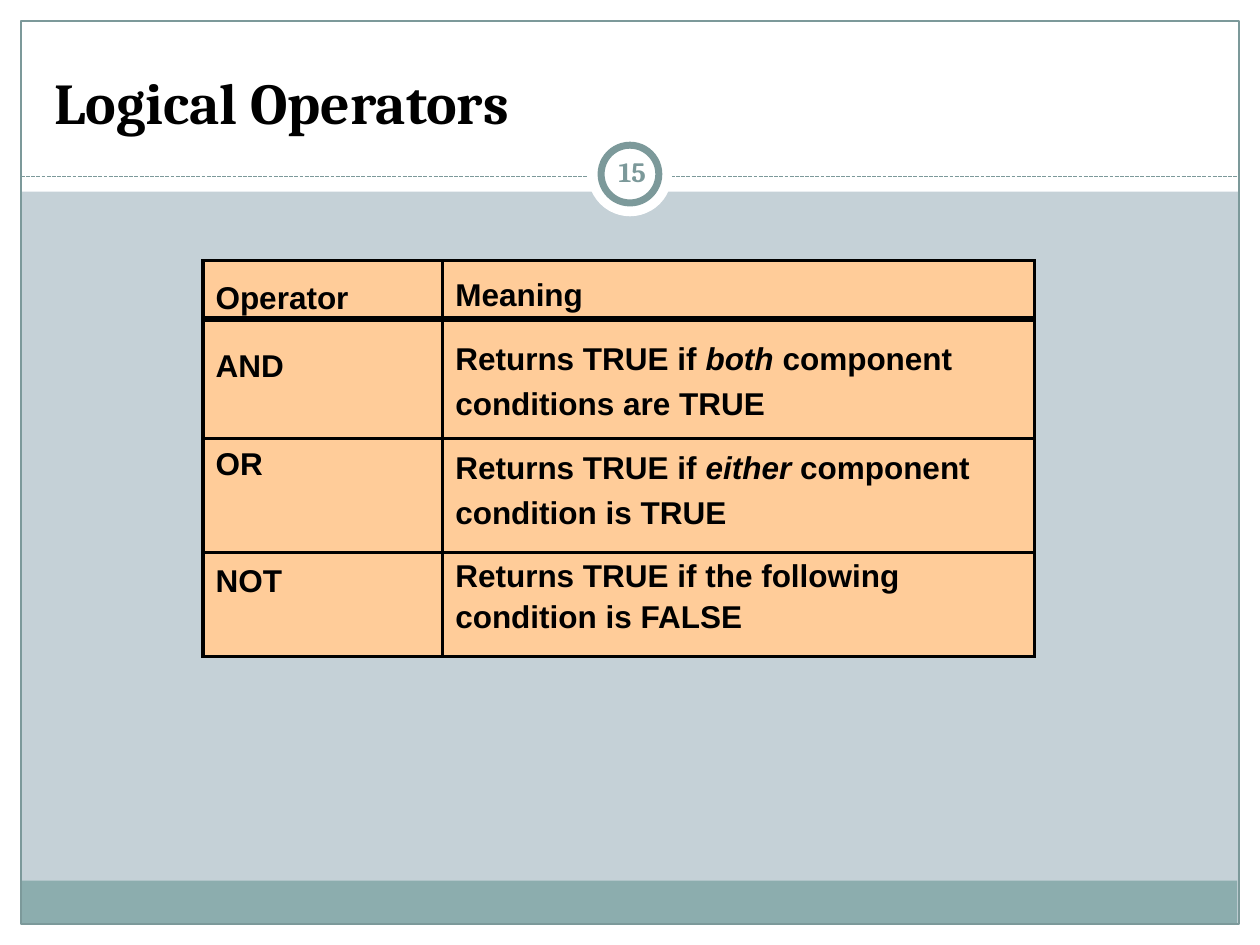
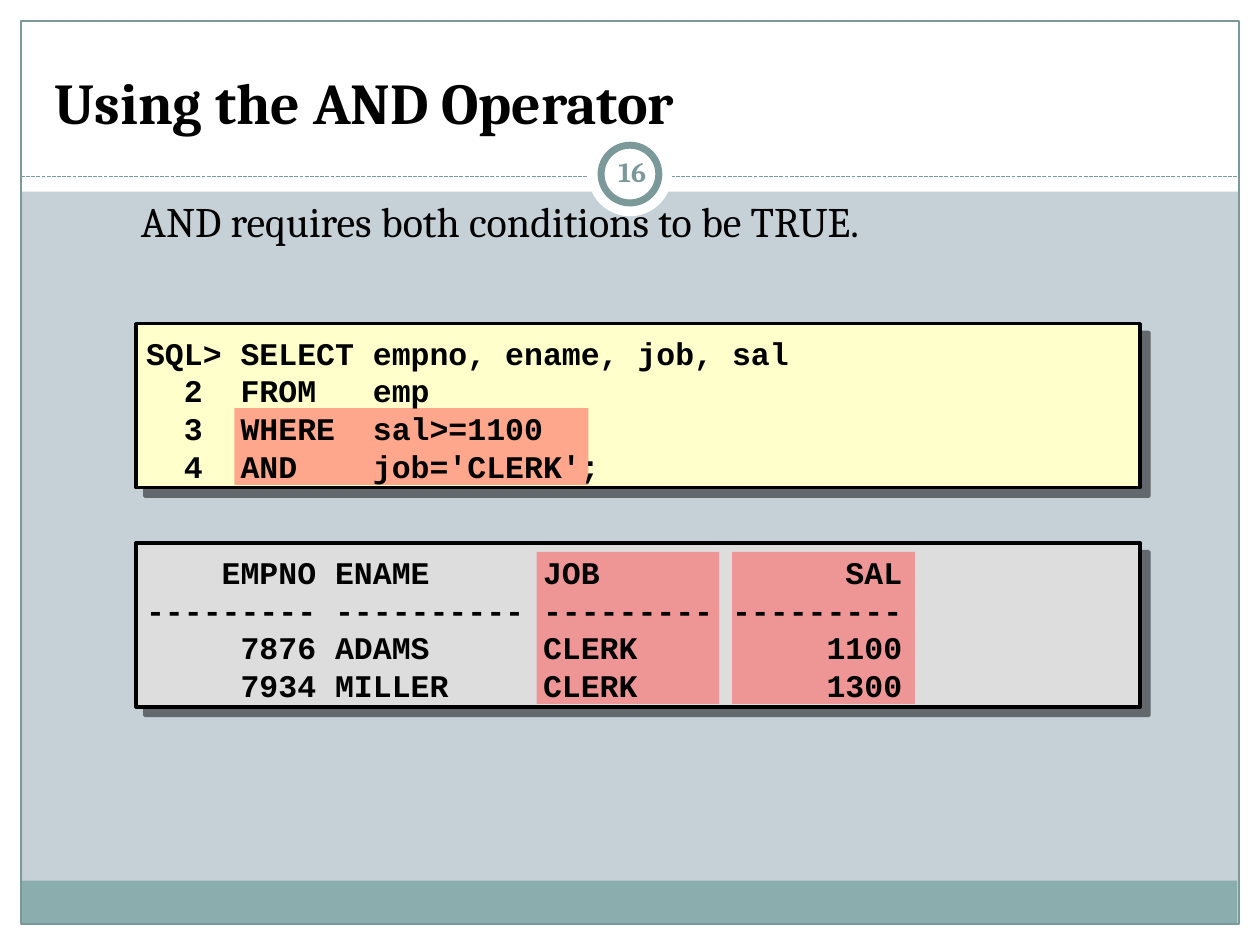
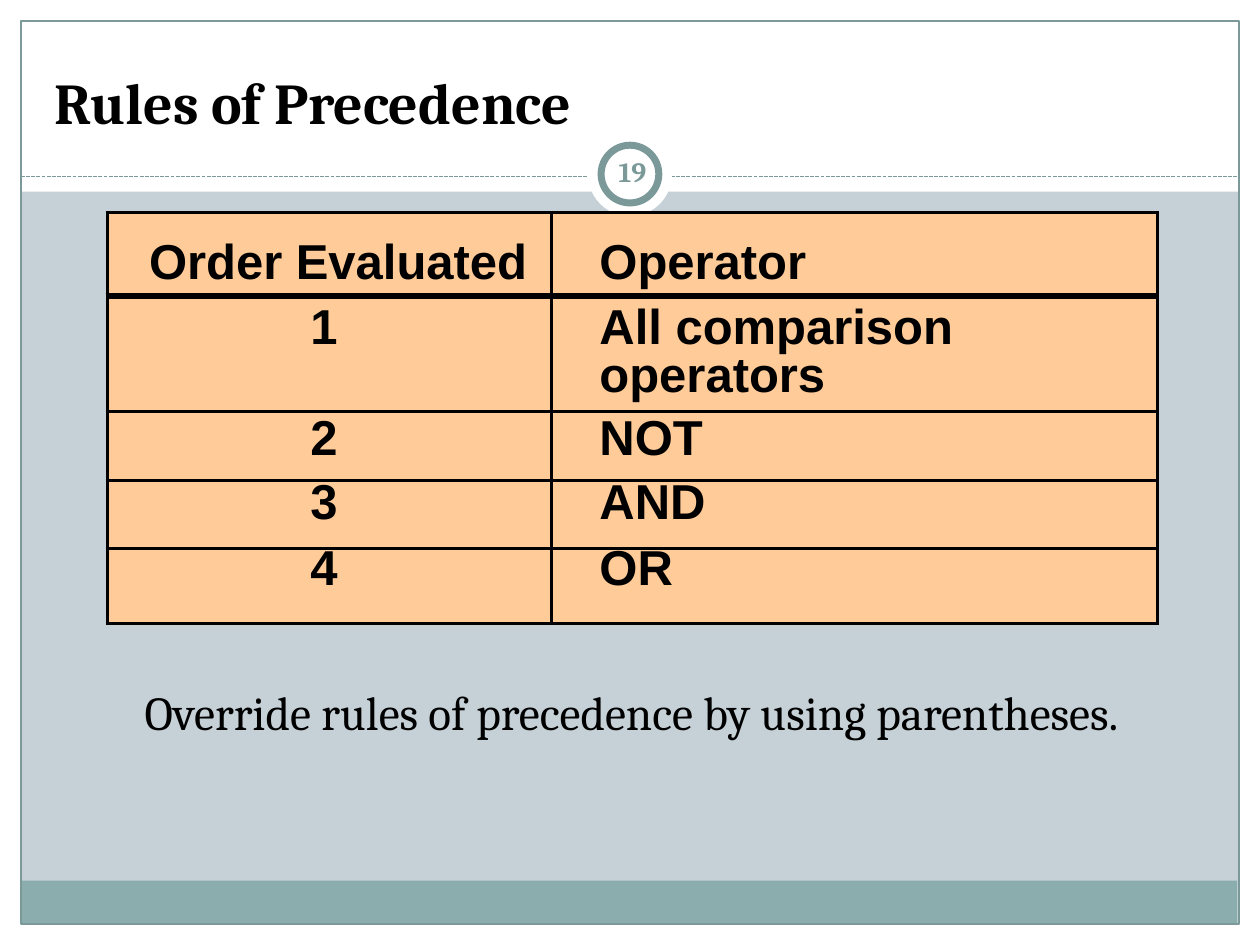
from lxml import etree
from pptx import Presentation
from pptx import util as u
from pptx.dml.color import RGBColor
from pptx.enum import dml, shapes, text
from pptx.oxml import ns

Pt = u.Pt
COLORS = {
    "page": "C5D1D7", "white": "FFFFFF", "footer": "8CADAE", "rule": "7C999A",
    "ink": "000000", "table": "FFCC99", "query": "FFFFCC", "result": "DDDDDD",
    "highlight": "FF5050",
}
SERIF, SANS, MONO = "Cambria", "Arial", "Courier New"
TITLE = {"name": SERIF, "size": Pt(33), "bold": True}
NUMBER = {"name": SERIF, "size": Pt(16), "bold": True}
CODE = {"name": MONO, "size": Pt(18), "bold": True}
LEFT, CENTER = text.PP_ALIGN.LEFT, text.PP_ALIGN.CENTER
TOP, MIDDLE, BOTTOM = (text.MSO_ANCHOR.TOP, text.MSO_ANCHOR.MIDDLE,
                       text.MSO_ANCHOR.BOTTOM)
RECT, OVAL = shapes.MSO_SHAPE.RECTANGLE, shapes.MSO_SHAPE.OVAL


# Shared helpers
def rgb(color):
    return RGBColor.from_string(COLORS[color])


def points(*lengths):
    return [Pt(length) for length in lengths]


def set_all(target, values):
    for name, value in values.items():
        setattr(target, name, value)


def add_xml(parent, tag, **attributes):
    return etree.SubElement(parent, ns.qn(tag),
                            {key: str(value) for key, value in attributes.items()})


def add_span(para, words, font, color="ink"):
    span = para.add_run()
    span.text = words
    set_all(span.font, font)
    span.font.color.rgb = rgb(color)


def write(frame, lines, font, color="ink", align=LEFT, anchor=TOP, spacing=None):
    set_all(frame, {"word_wrap": True, "vertical_anchor": anchor,
                    "auto_size": text.MSO_AUTO_SIZE.NONE})
    for index, line in enumerate(lines):
        para = frame.add_paragraph() if index else frame.paragraphs[0]
        set_all(para, {"alignment": align, "line_spacing": spacing,
                       "space_before": Pt(0)})
        add_span(para, line, font, color)


def add_text(page, box, lines, font, **style):
    label = page.shapes.add_textbox(*points(*box))
    write(label.text_frame, lines, font, **style)
    return label


def add_block(page, box, fill=None, line=None, width=0.75, kind=RECT):
    block = page.shapes.add_shape(kind, *points(*box))
    block.shadow.inherit = False
    if fill:
        block.fill.solid()
        block.fill.fore_color.rgb = rgb(fill)
    else:
        block.fill.background()
    if line:
        block.line.color.rgb = rgb(line)
        block.line.width = Pt(width)
    else:
        block.line.fill.background()
    return block


# Frame shared by every slide, kept on the layout
def draw_frame(page):
    for box, fill in [((0, 528, 720, 12), "white"), ((0, 0, 720, 109.5), "white"),
                      ((0, 0, 12, 540), "white"), ((708, 0, 12, 540), "white"),
                      ((11.5, 503.3, 695.5, 24.5), "footer")]:
        add_block(page, box, fill)
    add_block(page, (12, 12, 696, 516), line="rule")
    rule = page.shapes.add_connector(shapes.MSO_CONNECTOR.STRAIGHT,
                                     *points(12, 100.8, 708, 100.8))
    rule.line.color.rgb = rgb("rule")
    set_all(rule.line, {"width": Pt(0.75), "dash_style": dml.MSO_LINE.SQUARE_DOT})
    add_xml(rule.element.spPr, "a:effectLst")
    add_block(page, (336, 75.6, 48, 48), "white", kind=OVAL)
    add_block(page, (343.5, 83, 33, 33), "white", "rule", 4, OVAL)


def prepare_layout(deck, layout):
    layout.background.fill.solid()
    layout.background.fill.fore_color.rgb = rgb("page")
    page = deck.slides.add_slide(layout)
    draw_frame(page)
    for offset, part in enumerate(list(page.shapes)[1:]):
        layout.shapes.element.insert(2 + offset, part.element)
    return page


def draw_heading(page, title, number):
    holder = page.shapes.title
    set_all(holder, dict(zip(("left", "top", "width", "height"),
                             points(24, 18, 672, 60))))
    holder.text_frame.margin_bottom = 0
    write(holder.text_frame, [title], TITLE, anchor=BOTTOM)
    badge = add_text(page, (343.4, 80.6, 36, 34.6), [number], NUMBER,
                     color="rule", align=CENTER, anchor=MIDDLE)
    set_all(badge.text_frame, {"margin_left": Pt(3.6), "margin_right": Pt(3.6)})


# Ruled tables with a heavy line under the header
def add_borders(cell, row):
    properties = cell._tc.get_or_add_tcPr()
    widths = {"a:lnL": 2, "a:lnR": 2, "a:lnT": 4 if row == 1 else 2,
              "a:lnB": 4 if row == 0 else 2}
    for tag, width in widths.items():
        border = add_xml(properties, tag, w=Pt(width))
        add_xml(add_xml(border, "a:solidFill"), "a:srgbClr", val=COLORS["ink"])


def fill_cell(cell, row, spans, size, pitch, margins, align=LEFT):
    add_borders(cell, row)
    cell.fill.solid()
    cell.fill.fore_color.rgb = rgb("table")
    left, top, right = points(*margins)
    set_all(cell, {"margin_left": left, "margin_top": top, "margin_right": right,
                   "margin_bottom": 0, "vertical_anchor": TOP})
    para = cell.text_frame.paragraphs[0]
    set_all(para, {"alignment": align, "line_spacing": Pt(pitch)})
    # Every second span is emphasised
    for index, words in enumerate(spans):
        add_span(para, words, {"name": SANS, "size": Pt(size), "bold": True,
                               "italic": index % 2 == 1})


def add_grid(page, left, top, widths, heights):
    grid = page.shapes.add_table(
        len(heights), len(widths),
        *points(left, top, sum(widths), sum(heights))).table
    set_all(grid, {"first_row": False, "horz_banding": False})
    for column, width in zip(grid.columns, widths):
        column.width = Pt(width)
    for row, height in zip(grid.rows, heights):
        row.height = Pt(height)
    return grid


def draw_operators(page, left, top):
    # Operator, its top margin, meaning, its top margin, line pitch
    rows = [
        ("Operator", 11.9, ["Meaning"], 9.7, 20),
        ("AND", 17.4, ["Returns TRUE if ", "both ",
                       "component conditions are TRUE"], 7.4, 25.7),
        ("OR", 5.4, ["Returns TRUE if ", "either ",
                     "component condition is TRUE"], 2, 25.7),
        ("NOT", 6.7, ["Returns TRUE if the following condition is FALSE"], 0, 23.4),
    ]
    grid = add_grid(page, left, top, (137, 338), (33.2, 68.2, 65.6, 59))
    for row, (operator, drop, meaning, meaning_drop, pitch) in enumerate(rows):
        fill_cell(grid.cell(row, 0), row, [operator], 18, 20, (7.2, drop, 7.2))
        fill_cell(grid.cell(row, 1), row, meaning, 18, pitch,
                  (7.2, meaning_drop, 7.2))


def draw_precedence(page, left, top):
    rows = [("Order Evaluated", "Operator", 17.2),
            ("1", "All comparison operators", 6.8),
            ("2", "NOT", 4.1), ("3", "AND", 1.7), ("4", "OR", 0)]
    grid = add_grid(page, left, top, (254, 346), (47.5, 66.2, 39, 39, 43))
    for row, (order, operator, drop) in enumerate(rows):
        margins, align = ((0, drop, 6), CENTER) if row else ((24, drop, 0), LEFT)
        fill_cell(grid.cell(row, 0), row, [order], 28, 27, margins, align)
        fill_cell(grid.cell(row, 1), row, [operator], 28, 27, (27.4, drop, 0))


# Code panel with a hard shadow and see-through highlights
def draw_panel(page, box, fill, lines, highlights):
    left, top, width, height = box
    panel = add_block(page, box, fill, "ink", 2)
    effects = panel.element.spPr.find(ns.qn("a:effectLst"))
    shadow = add_xml(effects, "a:outerShdw", blurRad=0, dist=Pt(7.1),
                     dir=45 * 60000, algn="ctr", rotWithShape=0)
    tint = add_xml(shadow, "a:srgbClr", val=COLORS["ink"])
    add_xml(tint, "a:alpha", val=50000)
    for x, y, wide, high in highlights:
        mark = add_block(page, (left + x, top + y, wide, high), "highlight")
        for tint in mark.element.spPr.iter(ns.qn("a:srgbClr")):
            add_xml(tint, "a:alpha", val=50000)
    add_text(page, (left - 1.4, top + 2, width + 2, height), lines, CODE,
             anchor=MIDDLE, spacing=Pt(21.5))


def draw_and_example(page):
    add_text(page, (73.4, 110, 480, 35), ["AND requires both conditions to be TRUE."],
             {"name": SERIF, "size": Pt(24)}, spacing=0.95)
    draw_panel(page, (77.8, 185, 573.8, 93.6), "query", [
        "SQL> SELECT empno, ename, job, sal",
        "  2  FROM   emp",
        "  3  WHERE  sal>=1100",
        "  4  AND    job='CLERK';",
    ], [(56.2, 48.2, 202.3, 43.9)])
    draw_panel(page, (77.8, 310.3, 573.8, 93.6), "result", [
        "    EMPNO ENAME      JOB             SAL",
        "--------- ---------- --------- ---------",
        "     7876 ADAMS      CLERK          1100",
        "     7934 MILLER     CLERK          1300",
    ], [(x, 5, 104.4, 87) for x in (228.8, 340.6)])


def main():
    deck = Presentation()
    set_all(deck, {"slide_width": Pt(720), "slide_height": Pt(540)})
    layout = deck.slide_layouts[5]

    # Logical operators
    page = prepare_layout(deck, layout)
    draw_heading(page, "Logical Operators", "15")
    draw_operators(page, 116, 149)

    # AND example
    page = deck.slides.add_slide(layout)
    draw_heading(page, "Using the AND Operator", "16")
    draw_and_example(page)

    # Precedence
    page = deck.slides.add_slide(layout)
    draw_heading(page, "Rules of Precedence", "19")
    draw_precedence(page, 61.2, 121.7)
    add_text(page, (75.6, 386.6, 592, 71),
             ["Override rules of precedence by using parentheses."],
             {"name": SERIF, "size": Pt(27)})

    deck.save("out.pptx")


if __name__ == "__main__":
    main()
